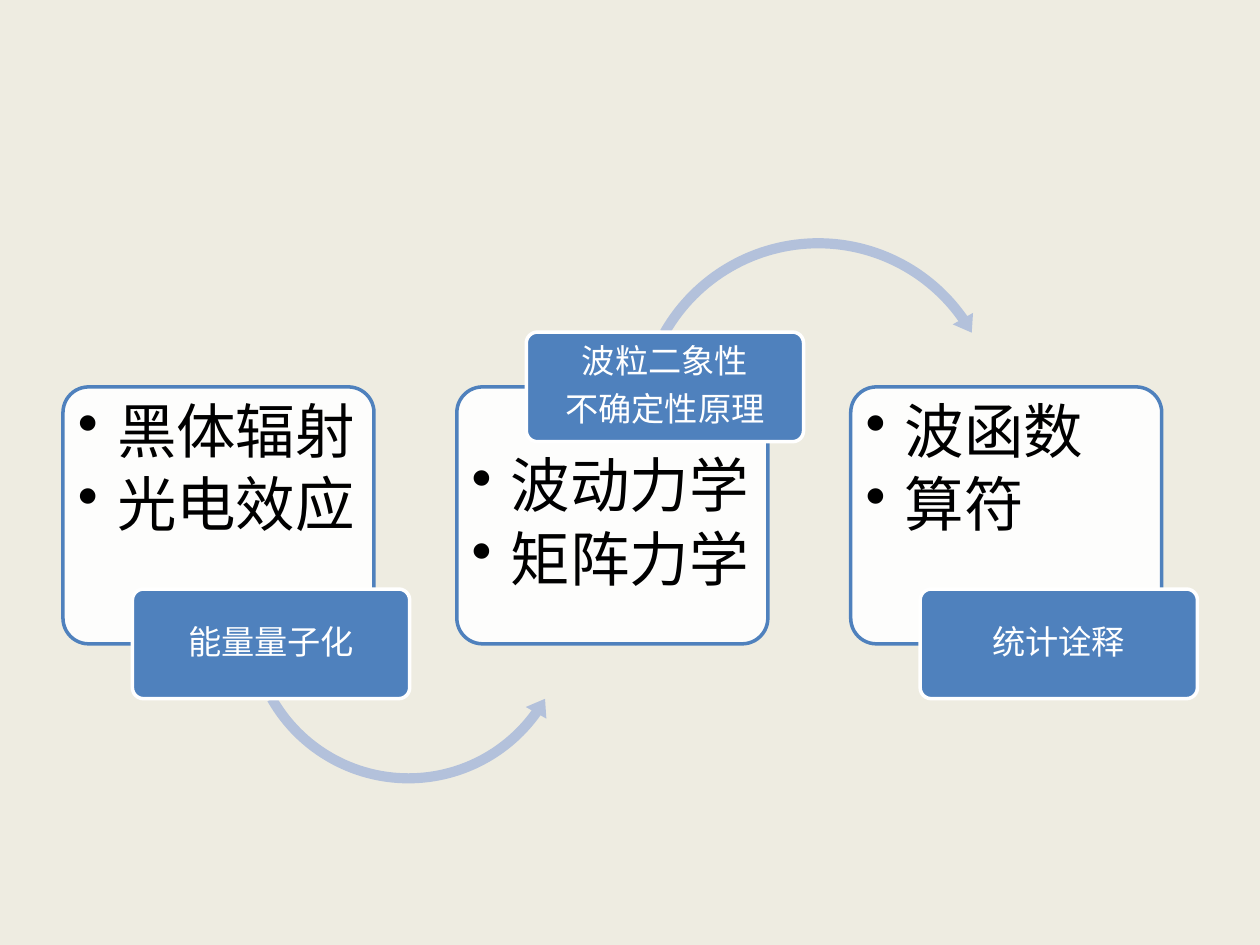
from lxml import etree
from pptx import Presentation
from pptx.dml.color import RGBColor
from pptx.enum import shapes, text
from pptx.oxml.ns import qn
from pptx.util import Cm, Pt

STEPS = [
    (["黑体辐射", "光电效应"], ["能量量子化"], "low"),
    (["波动力学", "矩阵力学"], ["波粒二象性", "不确定性原理"], "high"),
    (["波函数", "算符"], ["统计诠释"], "low"),
]
KIND = shapes.MSO_SHAPE
ARROWS = [
    (KIND.LEFT_CIRCULAR_ARROW, 4.83, 9.12, 6.81,
     (0.03, 3.637, 21.392, 90.245, 0.035)),
    (KIND.CIRCULAR_ARROW, 12.7, 4.67, 7.59,
     (0.027, 3.23, 195.015, 125.755, 0.031)),
]
THEME = {
    "font": "Times New Roman", "back": "EEECE1", "blue": "4F81BD",
    "pale": "B3C1DB", "white": "FFFFFF", "black": "000000",
    "big": 34, "small": 19,
}
LEFT, TOP, PITCH = 1.27, 7.8, 7.94
CARD = (6.27, 5.18)
LABEL = (5.59, 2.21)
SHIFT = 1.4


def color(name):
    return RGBColor.from_string(THEME[name])


def draw(slide, kind, box, fill, line=None, adjust=(0.1,)):
    shape = slide.shapes.add_shape(kind, *map(Cm, box))
    shape.shadow.inherit = False
    for i, value in enumerate(adjust):
        shape.adjustments[i] = value
    shape.fill.solid()
    shape.fill.fore_color.rgb = color(fill)
    if line:
        shape.line.color.rgb = color(line)
        shape.line.width = Pt(2)
    else:
        shape.line.fill.background()
    return shape


def fade(shape, share):
    tint = shape.fill._xPr.find(qn("a:solidFill"))[0]
    etree.SubElement(tint, qn("a:alpha"), val=str(share * 1000))


def bullet(para):
    para.level = 1
    props = para._p.get_or_add_pPr()
    props.set("marL", str(Cm(0.79)))
    props.set("indent", str(-Cm(0.79)))
    etree.SubElement(props, qn("a:buChar"), char="•")


def write(slide, box, lines, size, ink, inset, after, listed=False):
    frame = slide.shapes.add_textbox(*map(Cm, box)).text_frame
    frame.word_wrap = True
    frame.margin_left = frame.margin_right = Cm(inset[0])
    frame.margin_top = frame.margin_bottom = Cm(inset[1])
    frame.vertical_anchor = (text.MSO_ANCHOR.TOP if listed
                             else text.MSO_ANCHOR.MIDDLE)
    for i, line in enumerate(lines):
        para = frame.add_paragraph() if i else frame.paragraphs[0]
        para.text = line
        if listed:
            bullet(para)
        else:
            para.alignment = text.PP_ALIGN.CENTER
        para.line_spacing = 0.9
        para.space_after = Pt(THEME[size] * after)
        para.font.size = Pt(THEME[size])
        para.font.name = THEME["font"]
        para.font.color.rgb = color(ink)


def main():
    deck = Presentation()
    deck.slide_width, deck.slide_height = Cm(25.4), Cm(19.05)
    slide = deck.slides.add_slide(deck.slide_layouts[6])
    slide.background.fill.solid()
    slide.background.fill.fore_color.rgb = color("back")
    wide, tall = CARD
    span, rise = LABEL
    for i, (facts, title, side) in enumerate(STEPS):
        x = LEFT + i * PITCH
        high = side == "high"
        card = draw(slide, KIND.ROUNDED_RECTANGLE, (x, TOP, wide, tall),
                    "white", "blue")
        fade(card, 90)
        drop = rise / 2 if high else 0
        write(slide, (x + 0.12, TOP + 0.12 + drop, 6.04, 3.84), facts,
              "big", "black", (0.18, 0.18), 0.15, True)
        if i < len(ARROWS):
            kind, ax, ay, side, adjust = ARROWS[i]
            draw(slide, kind, (ax, ay, side, side), "pale", adjust=adjust)
        lx = x + SHIFT
        ly = TOP + (0 if high else tall) - rise / 2
        draw(slide, KIND.ROUNDED_RECTANGLE, (lx, ly, span, rise),
             "blue", "white")
        write(slide, (lx + 0.07, ly + 0.07, span - 0.14, rise - 0.14), title,
              "small", "white", (0.1, 0.07), 0.35)
    deck.save("out.pptx")


if __name__ == "__main__":
    main()
